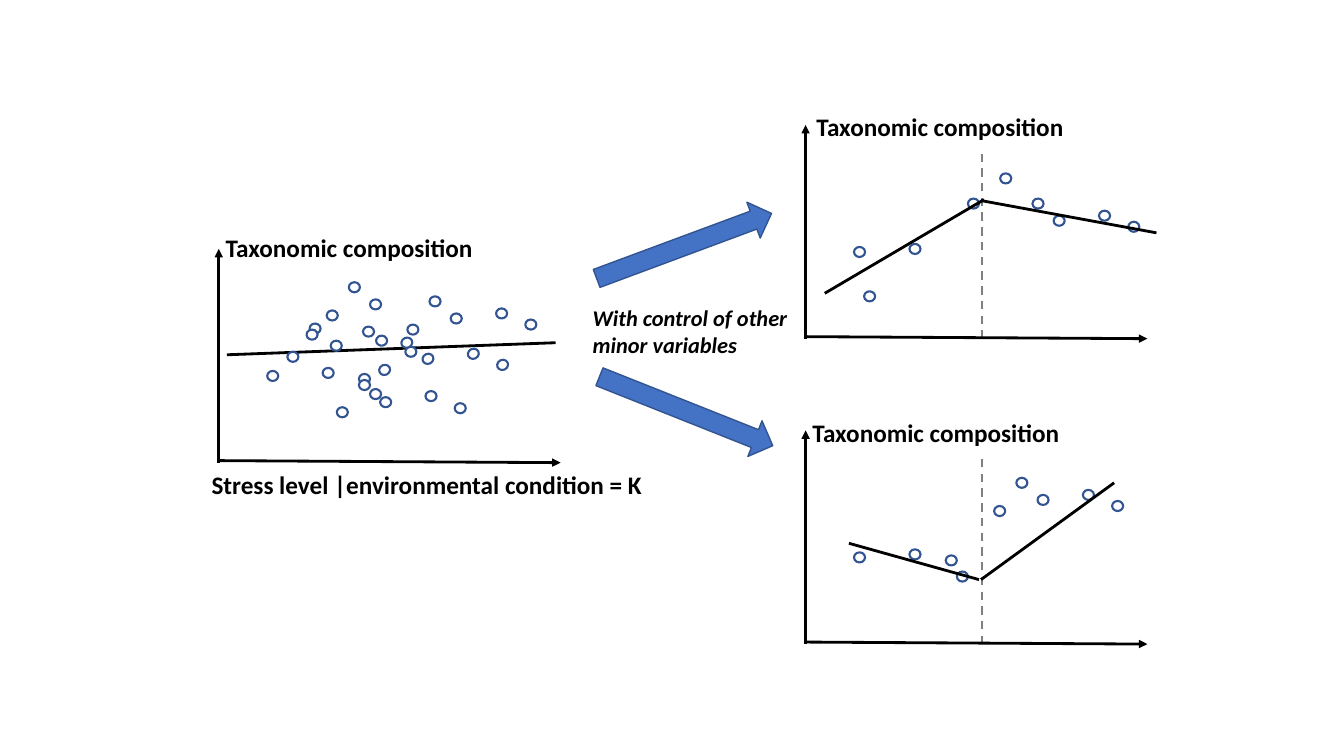
from lxml import etree
from pptx import Presentation
from pptx import util as u
from pptx.dml.color import RGBColor
from pptx.enum import dml, shapes, text
from pptx.oxml import ns

BLACK, GREY, WHITE = "000000", "808080", "FFFFFF"
BLUE, NAVY = "4472C4", "325491"
TITLE = "Taxonomic composition"

RISE_FALL = [(9.6, 1.97), (9.02, 2.42), (8.57, 2.89), (9.92, 1.72), (10.24, 1.97),
             (8.47, 2.45), (10.45, 2.14), (10.9, 2.09), (11.19, 2.2)]
FALL_RISE = [(9.49, 5.67), (9.02, 5.45), (9.38, 5.51), (9.86, 5.02), (10.08, 4.74),
             (8.47, 5.48), (10.29, 4.91), (10.74, 4.86), (11.03, 4.97)]
BEHIND = [(3.67, 3.86), (3.2, 3.65), (3.56, 3.71), (4.04, 3.22), (4.26, 2.94),
          (2.65, 3.68), (4.47, 3.11), (4.92, 3.06), (5.21, 3.17)]
FRONT = [(2.85, 3.49), (3.07, 3.21), (3.28, 3.38), (3.73, 3.33), (4.02, 3.44),
         (3.34, 4.04), (3.56, 3.77), (3.77, 3.94), (4.22, 3.88), (4.51, 4)]
TURNED = [(3.76, 3.62), (3.98, 3.35), (4.19, 3.51), (4.64, 3.46), (4.93, 3.57)]
UPPER = [(3.6, 3.24), (3.04, 3.27), (3.24, 3.08), (3.46, 2.8), (3.67, 2.97)]


def color(code):
    return RGBColor.from_string(code)


def add_line(slide, start, end, code=BLACK, width=2, dash=False, arrow=False):
    line = slide.shapes.add_connector(
        shapes.MSO_CONNECTOR.STRAIGHT, *map(u.Inches, start + end))
    line.line.color.rgb = color(code)
    line.line.width = u.Pt(width)
    if dash:
        line.line.dash_style = dml.MSO_LINE.DASH
    if arrow:
        etree.SubElement(line.line._get_or_add_ln(), ns.qn("a:tailEnd"), type="triangle")
    etree.SubElement(line._element.spPr, ns.qn("a:effectLst"))


def add_form(slide, kind, place, size, fill, width, turn=0):
    form = slide.shapes.add_shape(kind, *map(u.Inches, place + size))
    form.shadow.inherit = False
    form.fill.solid()
    form.fill.fore_color.rgb = color(fill)
    form.line.color.rgb = color(NAVY)
    form.line.width = u.Pt(width)
    form.rotation = turn


def add_dots(slide, spots, turn=0):
    for spot in spots:
        add_form(slide, shapes.MSO_SHAPE.OVAL, spot, (0.11, 0.1), WHITE, 1.5, turn)


def add_arrow(slide, place, turn):
    add_form(slide, shapes.MSO_SHAPE.RIGHT_ARROW, place, (1.85, 0.38), BLUE, 1, turn)


def add_label(slide, words, place, size, points=18, italic=False, wrap=False):
    box = slide.shapes.add_textbox(*map(u.Inches, place + size))
    frame = box.text_frame
    frame.word_wrap = wrap
    frame.auto_size = text.MSO_AUTO_SIZE.SHAPE_TO_FIT_TEXT
    run = frame.paragraphs[0].add_run()
    run.text = words
    font = run.font
    font.name = "Calibri"
    font.size = u.Pt(points)
    font.bold = True
    font.italic = italic
    font.color.rgb = color(BLACK)


def add_axes(slide, x, y):
    """Draw both axes of a plot whose lower left corner is (x, y)."""
    add_line(slide, (x, y - 0.02), (x + 3.39, y), arrow=True)
    add_line(slide, (x, y), (x, y - 2.12), arrow=True)


def add_split(slide, x, y, dots, trends, title):
    """Draw a plot with a dashed threshold and a trend on each side of it."""
    add_line(slide, (x + 1.75, y), (x + 1.75, y - 1.85), GREY, 1.5, dash=True)
    add_axes(slide, x, y)
    add_dots(slide, dots)
    for start, end in trends:
        add_line(slide, start, end)
    add_label(slide, TITLE, title, (2.67, 0.4))


def add_cloud(slide):
    """Draw the left plot, with its dots behind and in front of the trend."""
    add_axes(slide, 2.17, 4.59)
    add_dots(slide, BEHIND)
    add_line(slide, (2.25, 3.52), (5.51, 3.4))
    add_label(slide, TITLE, (2.14, 2.26), (2.67, 0.4))
    add_label(slide, "Stress level |environmental condition = K", (2, 4.61), (4.5, 0.4))
    add_dots(slide, FRONT)
    add_dots(slide, TURNED, 335.9)
    add_dots(slide, UPPER)


def main():
    deck = Presentation()
    deck.slide_width, deck.slide_height = u.Inches(13.33), u.Inches(7.5)
    slide = deck.slides.add_slide(deck.slide_layouts[6])
    add_split(slide, 7.99, 3.36, RISE_FALL,
              [((8.18, 2.91), (9.76, 1.98)), ((9.73, 1.99), (11.47, 2.31))], (8, 1.06))
    add_split(slide, 7.99, 6.39, FALL_RISE,
              [((8.42, 5.39), (9.71, 5.75)), ((9.73, 5.75), (11.05, 4.79))], (7.96, 4.09))
    add_cloud(slide)
    add_label(slide, "With control of other minor variables", (5.78, 2.97), (2.51, 0.64),
              points=16, italic=True, wrap=True)
    add_arrow(slide, (5.86, 2.25), 339.6)
    add_arrow(slide, (5.88, 3.89), 21.7)
    deck.save("out.pptx")


if __name__ == "__main__":
    main()
